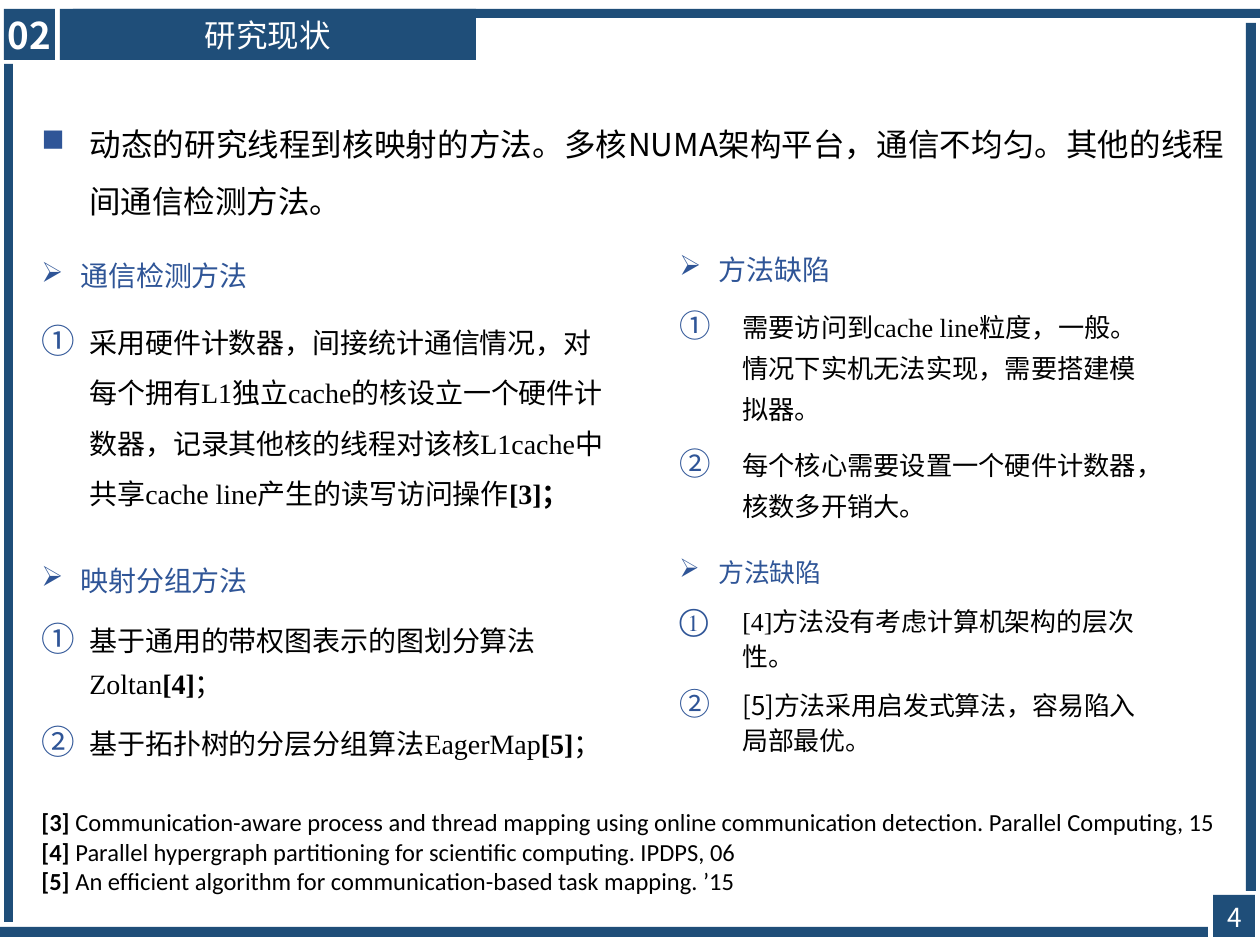
import lxml.etree
import pptx
import pptx.dml.color
import pptx.enum.shapes
import pptx.enum.text
import pptx.oxml.ns
import pptx.util

PX = 914400 / 126
NAVY, BLUE, BLACK, WHITE = "1F4E79", "2F5597", "000000", "FFFFFF"
SANS, SERIF, LATIN = "Noto Sans CJK SC", "Times New Roman", "Calibri"
NUMBERED = "circleNumDbPlain"
ALIGN = pptx.enum.text.PP_ALIGN
qn = pptx.oxml.ns.qn


def px(*lengths):
    return [pptx.util.Emu(round(length * PX)) for length in lengths]


def write(frame, text, size=16, color=BLACK, font=SANS, align=ALIGN.LEFT,
          spacing=None, before=None, after=None, indent=0, bullet=None):
    """Add a paragraph; parts between ** marks are bold, before is a share of the line."""
    para = frame.add_paragraph() if frame.text else frame.paragraphs[0]
    para.alignment = align
    para.line_spacing = spacing
    if after is not None:
        para.space_after = pptx.util.Pt(after)
    props = para._p.get_or_add_pPr()
    if before is not None:
        para.space_before = pptx.util.Pt(0)
        gap = props.find(qn("a:spcBef"))
        gap.remove(gap[0])
        lxml.etree.SubElement(gap, qn("a:spcPct"), val=str(before * 1000))
    if bullet:
        margin = px(indent)[0]
        props.set("marL", str(margin))
        props.set("indent", str(-margin))
        tint = lxml.etree.SubElement(props, qn("a:buClr"))
        lxml.etree.SubElement(tint, qn("a:srgbClr"), val=BLUE)
        if bullet == NUMBERED:
            lxml.etree.SubElement(props, qn("a:buSzPct"), val="120000")
            lxml.etree.SubElement(props, qn("a:buAutoNum"), type=bullet)
        else:
            lxml.etree.SubElement(props, qn("a:buChar"), char=bullet)
    for number, part in enumerate(text.split("**")):
        if part:
            span = para.add_run()
            span.text = part
            span.font.size = pptx.util.Pt(size)
            span.font.bold = number % 2 == 1
            span.font.name = font
            span.font.color.rgb = pptx.dml.color.RGBColor.from_string(color)
            lxml.etree.SubElement(span._r.get_or_add_rPr(), qn("a:ea"), typeface=SANS)
    return para


deck = pptx.Presentation()
deck.slide_width, deck.slide_height = px(1260, 945)
page = deck.slides.add_slide(deck.slide_layouts[6])

# Frame bars, corner blocks and title
blocks = [
    ((73, 9, 1187, 9), None, 0),
    ((1213, 895, 42, 42), None, 0),
    ((4, 9, 51, 51), "**02**", 21),
    ((60, 9, 416, 51), "研究现状", 18),
    ((0, 927, 1208, 10), None, 0),
    ((1246, 23, 10, 868), None, 0),
    ((4, 64, 9, 858), None, 0),
]
for place, label, size in blocks:
    block = page.shapes.add_shape(pptx.enum.shapes.MSO_SHAPE.RECTANGLE, *px(*place))
    block.shadow.inherit = False
    block.fill.solid()
    block.fill.fore_color.rgb = pptx.dml.color.RGBColor.from_string(NAVY)
    block.line.fill.background()
    if label:
        frame = block.text_frame
        frame.margin_left = frame.margin_right = frame.margin_top = frame.margin_bottom = 0
        frame.vertical_anchor = pptx.enum.text.MSO_ANCHOR.MIDDLE
        write(frame, label, size=size, color=WHITE, align=ALIGN.CENTER)

number_box = page.shapes.add_textbox(*px(1214, 895, 41, 44))
number_box.text_frame.word_wrap = False
write(number_box.text_frame, "4", size=15, color=WHITE, align=ALIGN.CENTER)

# Main statement
intro = page.shapes.add_textbox(*px(29, 100, 1208, 152)).text_frame
intro.word_wrap = True
para = write(intro, "动态的研究线程到核映射的方法。多核NUMA架构平台，通信不均匀。其他的线程间通信检测方法。",
             size=18, align=ALIGN.JUSTIFY, spacing=1.5, indent=48, bullet="■")
para.space_before = pptx.util.Pt(10)

# Methods on the left, their drawbacks on the right
# place, heading, heading size, item size, line spacing, item indent, items with fonts
sections = [
    ((29, 236, 601, 311), "通信检测方法", 16, 16, 1.5, 48, [
        ("采用硬件计数器，间接统计通信情况，对每个拥有L1独立cache的核设立一个硬件计数器，"
         "记录其他核的线程对该核L1cache中共享cache line产生的读写访问操作**[3]；**", SERIF)]),
    ((667, 236, 505, 311), "方法缺陷", 16, 15, 1.3, 63, [
        ("需要访问到cache line粒度，一般。情况下实机无法实现，需要搭建模拟器。", SERIF),
        ("每个核心需要设置一个硬件计数器，核数多开销大。", SANS)]),
    ((29, 547, 638, 218), "映射分组方法", 16, 16, 1.3, 48, [
        ("基于通用的带权图表示的图划分算法Zoltan**[4]**；", SERIF),
        ("基于拓扑树的分层分组算法EagerMap**[5]**；", SERIF)]),
    ((667, 547, 505, 223), "方法缺陷", 14.8, 14.8, 1.1, 63, [
        ("[4]方法没有考虑计算机架构的层次性。", SERIF),
        ("[5]方法采用启发式算法，容易陷入局部最优。", SANS)]),
]
for place, heading, heading_size, item_size, spacing, indent, items in sections:
    frame = page.shapes.add_textbox(*px(*place)).text_frame
    frame.word_wrap = True
    rhythm = {"spacing": spacing, "before": 20, "after": 6}
    write(frame, heading, size=heading_size, color=BLUE, align=ALIGN.JUSTIFY,
          indent=39, bullet="➢", **rhythm)
    for text, font in items:
        write(frame, text, size=item_size, font=font, indent=indent,
              bullet=NUMBERED, **rhythm)

# References
references = page.shapes.add_textbox(*px(29, 801, 1208, 102)).text_frame
references.word_wrap = True
for text in (
    "**[3] **Communication-aware process and thread mapping using online "
    "communication detection. Parallel Computing, 15",
    "**[4] **Parallel hypergraph partitioning for scientiﬁc computing. IPDPS, 06",
    "**[5] **An efﬁcient algorithm for communication-based task mapping. ’15",
):
    write(references, text, size=14, font=LATIN)

deck.save("out.pptx")
